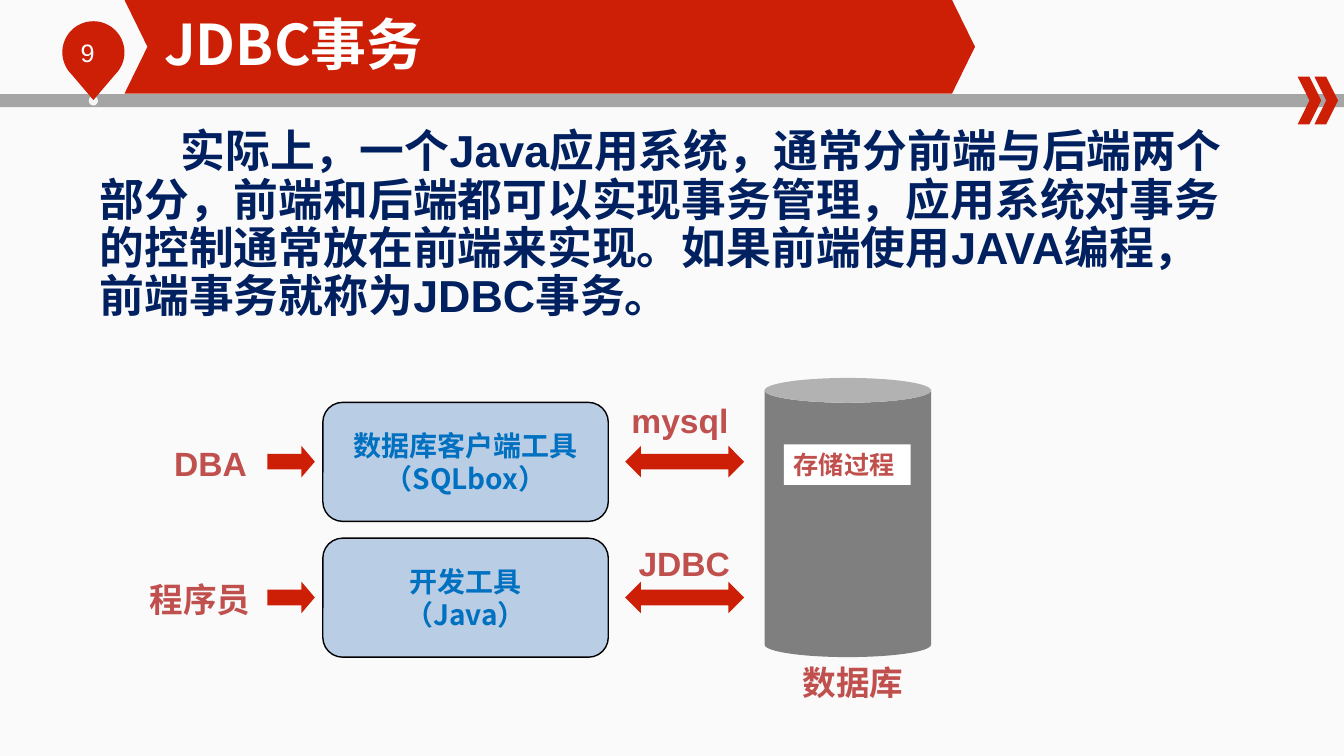
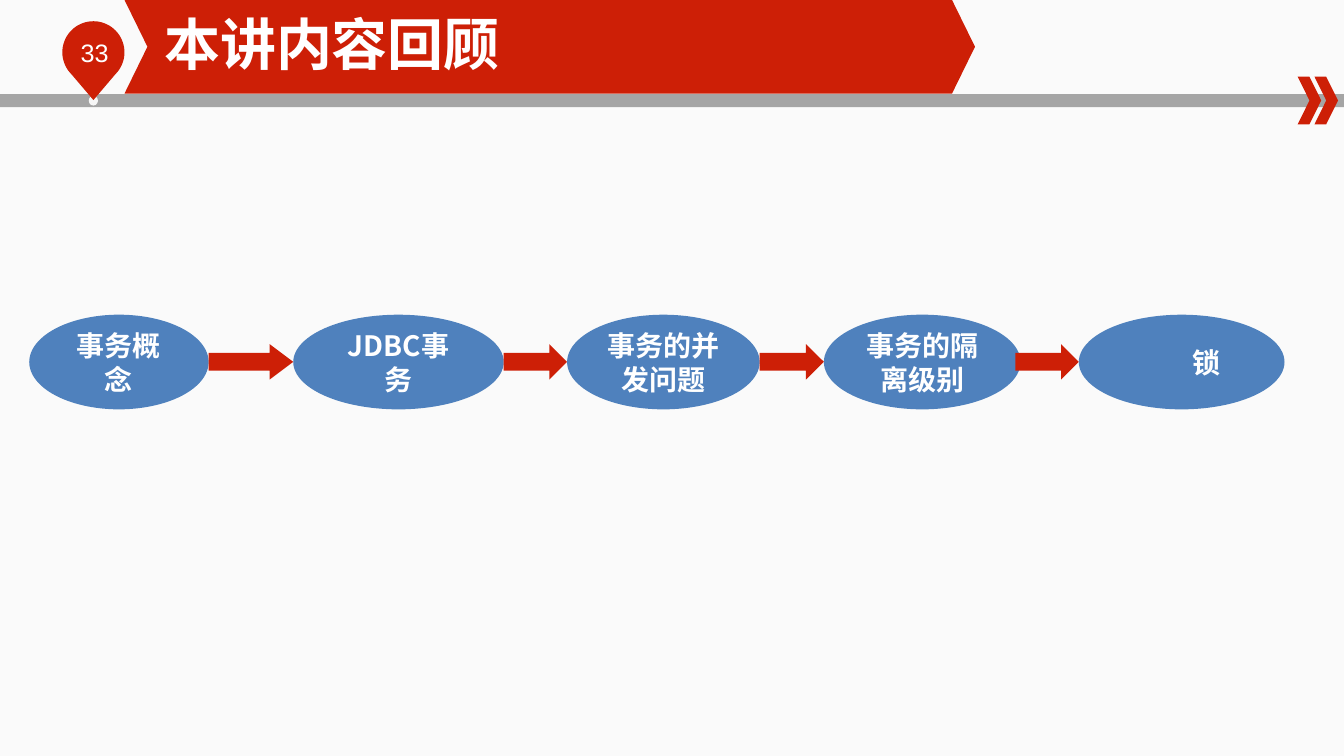
from math import cos, radians, sin

from lxml import etree
from pptx import Presentation
from pptx.dml.color import RGBColor
from pptx.enum.shapes import MSO_SHAPE
from pptx.enum.text import MSO_ANCHOR, PP_ALIGN
from pptx.oxml.ns import qn
from pptx.util import Pt

RECT = MSO_SHAPE.RECTANGLE
OVAL = MSO_SHAPE.OVAL
ROUNDED = MSO_SHAPE.ROUNDED_RECTANGLE
CAN = MSO_SHAPE.CAN
RIGHT_ARROW = MSO_SHAPE.RIGHT_ARROW
DOUBLE_ARROW = MSO_SHAPE.LEFT_RIGHT_ARROW
TOP, MIDDLE = MSO_ANCHOR.TOP, MSO_ANCHOR.MIDDLE
LEFT, CENTER = PP_ALIGN.LEFT, PP_ALIGN.CENTER

RED = RGBColor(0xCD, 0x1F, 0x06)
BRICK = RGBColor(0xC0, 0x50, 0x4D)
NAVY = RGBColor(0x00, 0x20, 0x60)
BLUE = RGBColor(0x00, 0x70, 0xC0)
STEEL = RGBColor(0x4F, 0x81, 0xBD)
PALE_BLUE = RGBColor(0xB9, 0xCD, 0xE5)
SILVER = RGBColor(0xA5, 0xA5, 0xA5)
GRAY = RGBColor(0x7F, 0x7F, 0x7F)
MIST = RGBColor(0xF6, 0xF6, 0xF6)
WHITE = RGBColor(0xFF, 0xFF, 0xFF)
BLACK = RGBColor(0x00, 0x00, 0x00)
PAPER = (RGBColor(0xFA, 0xFA, 0xFA), RGBColor(0xFC, 0xFC, 0xFC))

ARIAL = "Arial"
CJK = "Noto Sans CJK SC"
WIDTH, HEIGHT = 960.5, 540


class Deck:
    def __init__(self):
        self.deck = Presentation()
        self.deck.slide_width, self.deck.slide_height = Pt(WIDTH), Pt(HEIGHT)
        fill = self.deck.slide_master.background.fill
        fill.gradient()
        fill.gradient_angle = 270
        for stop, color in zip(fill.gradient_stops, PAPER):
            stop.color.rgb = color
        self.page = None

    def new_page(self, title, number):
        self.page = self.deck.slides.add_slide(self.deck.slide_layouts[6])
        self.shape(RECT, 0, 67.2, WIDTH, 9.4, SILVER)
        self.shape(OVAL, 63.4, 68.4, 6.6, 7, MIST)
        self.pin(66.8, 37.4, 22.2, 71.5)
        self.text(number, 50.5, 23, 54.5, 29, 18, WHITE, bold=False)
        for left in (927.4, 939.4):
            self.chevron(left, 54.8, 16.8, 34, 8.4)
        self.chevron(89, 0, 607.8, 66.8, 16.4)
        self.text(title, 117.4, 6.5, 476, 48, 40, WHITE, CJK, MIDDLE, margin=0)

    def paint(self, shape, fill, line=None):
        shape.shadow.inherit = False
        shape.fill.solid()
        shape.fill.fore_color.rgb = fill
        if line is None:
            shape.line.fill.background()
        else:
            shape.line.color.rgb = line
            shape.line.width = Pt(1)

    def shape(self, kind, left, top, width, height, fill, line=None, adjust=()):
        shape = self.page.shapes.add_shape(
            kind, Pt(left), Pt(top), Pt(width), Pt(height))
        self.paint(shape, fill, line)
        for index, value in enumerate(adjust):
            shape.adjustments[index] = value
        return shape

    def outline(self, points):
        start, *rest = [(Pt(x), Pt(y)) for x, y in points]
        builder = self.page.shapes.build_freeform(*start)
        builder.add_line_segments(rest, close=True)
        self.paint(builder.convert_to_shape(), RED)

    def chevron(self, left, top, width, height, notch):
        right, middle, bottom = left + width, top + height / 2, top + height
        self.outline([(left, top), (right - notch, top), (right, middle),
                      (right - notch, bottom), (left, bottom),
                      (left + notch, middle)])

    def pin(self, x, y, radius, tip):
        angles = [radians(degree) for degree in range(135, 406, 5)]
        arc = [(x + radius * cos(a), y + radius * sin(a)) for a in angles]
        self.outline(arc + [(x, tip)])

    def arrow(self, left, top, width, height):
        self.shape(RIGHT_ARROW, left, top, width, height, RED,
                   adjust=(0.5, 0.28 * width / height))

    def set_text(self, shape, text, size, color, font=ARIAL, anchor=MIDDLE,
                 align=CENTER, bold=True, margin=None):
        frame = shape.text_frame
        frame.text = text
        frame.word_wrap = True
        frame.vertical_anchor = anchor
        if margin is not None:
            frame.margin_left = frame.margin_right = Pt(margin)
            frame.margin_top = frame.margin_bottom = Pt(margin)
        for para in frame.paragraphs:
            para.alignment = align
            for span in para.runs:
                span.font.name = font
                span.font.size = Pt(size)
                span.font.bold = bold
                span.font.color.rgb = color
                east = etree.SubElement(span._r.get_or_add_rPr(), qn("a:ea"))
                east.set("typeface", CJK)
        return frame.paragraphs[0]

    def text(self, text, left, top, width, height, size, color, font=ARIAL,
             anchor=TOP, bold=True, margin=None):
        box = self.page.shapes.add_textbox(
            Pt(left), Pt(top), Pt(width), Pt(height))
        return self.set_text(box, text, size, color, font, anchor, LEFT, bold, margin)

    def label(self, text, left, top, width=100):
        self.text(text, left, top, width, 36, 24, BRICK)

    def indent(self, para, name, amount):
        para._p.get_or_add_pPr().set(name, str(Pt(amount)))


def transaction_page(deck):
    deck.new_page("JDBC事务", "9")
    para = deck.text(
        "实际上，一个Java应用系统，通常分前端与后端两个部分，"
        "前端和后端都可以实现事务管理，应用系统对事务的控制通常放在前端来实现。"
        "如果前端使用JAVA编程，前端事务就称为JDBC事务。",
        64, 88.6, 822.2, 145.4, 32, NAVY)
    para.line_spacing = 0.9
    deck.indent(para, "indent", 58)

    deck.shape(CAN, 546.4, 270, 119, 199.4, GRAY, adjust=(0.149,))
    procedure = deck.shape(RECT, 560.2, 317.4, 90.7, 29, WHITE)
    deck.set_text(procedure, "存储过程", 18, BRICK, anchor=TOP, align=LEFT)
    deck.label("数据库", 566.6, 469.4)

    rows = [
        ("DBA", 117.4, "数据库客户端工具\n（SQLbox）", "mysql", 444.2, 282.2),
        ("程序员", 100, "开发工具\n（Java）", "JDBC", 449.3, 384.5),
    ]
    for index, (user, user_left, tool, link, link_left, link_top) in enumerate(rows):
        top = 287.4 + 97 * index
        deck.label(user, user_left, top + 25.6, 91)
        deck.arrow(191, top + 31.2, 34, 22.4)
        box = deck.shape(ROUNDED, 230.7, top, 204, 85, PALE_BLUE, BLACK, (0.167,))
        deck.set_text(box, tool, 20, BLUE, CJK)
        deck.shape(DOUBLE_ARROW, 446.8, top + 31.2, 85, 22.4, RED, adjust=(0.5, 0.5))
        deck.label(link, link_left, link_top)


def review_page(deck):
    deck.new_page("本讲内容回顾", "33")
    topics = [
        ("事务概念", 20.9, 128.2),
        ("JDBC事务", 209.6, 150.4),
        ("事务的并发问题", 405.3, 137.6),
        ("事务的隔离级别", 588.8, 140.6),
        ("锁", 771, 147),
    ]
    for topic, left, width in topics:
        oval = deck.shape(OVAL, left, 224.8, width, 67.6, STEEL)
        para = deck.set_text(oval, topic, 20, WHITE, CJK)
    deck.indent(para, "marL", 36)
    for (_, left, width), (_, target, _) in zip(topics, topics[1:]):
        start = min(left + width, target - 45.3)
        deck.arrow(start, 245.8, target - start, 25.4)


def main():
    deck = Deck()
    transaction_page(deck)
    review_page(deck)
    deck.deck.save("out.pptx")


if __name__ == "__main__":
    main()
